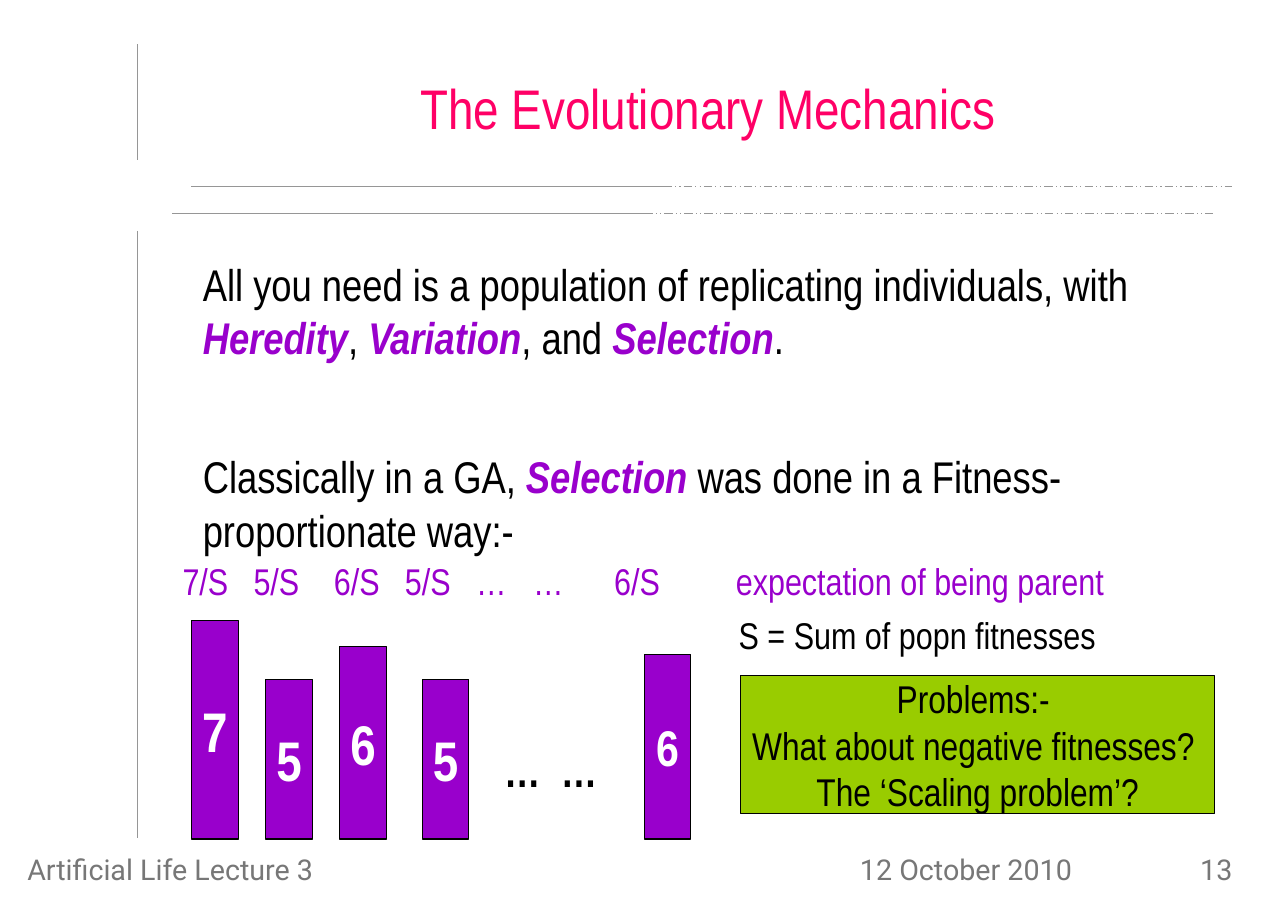
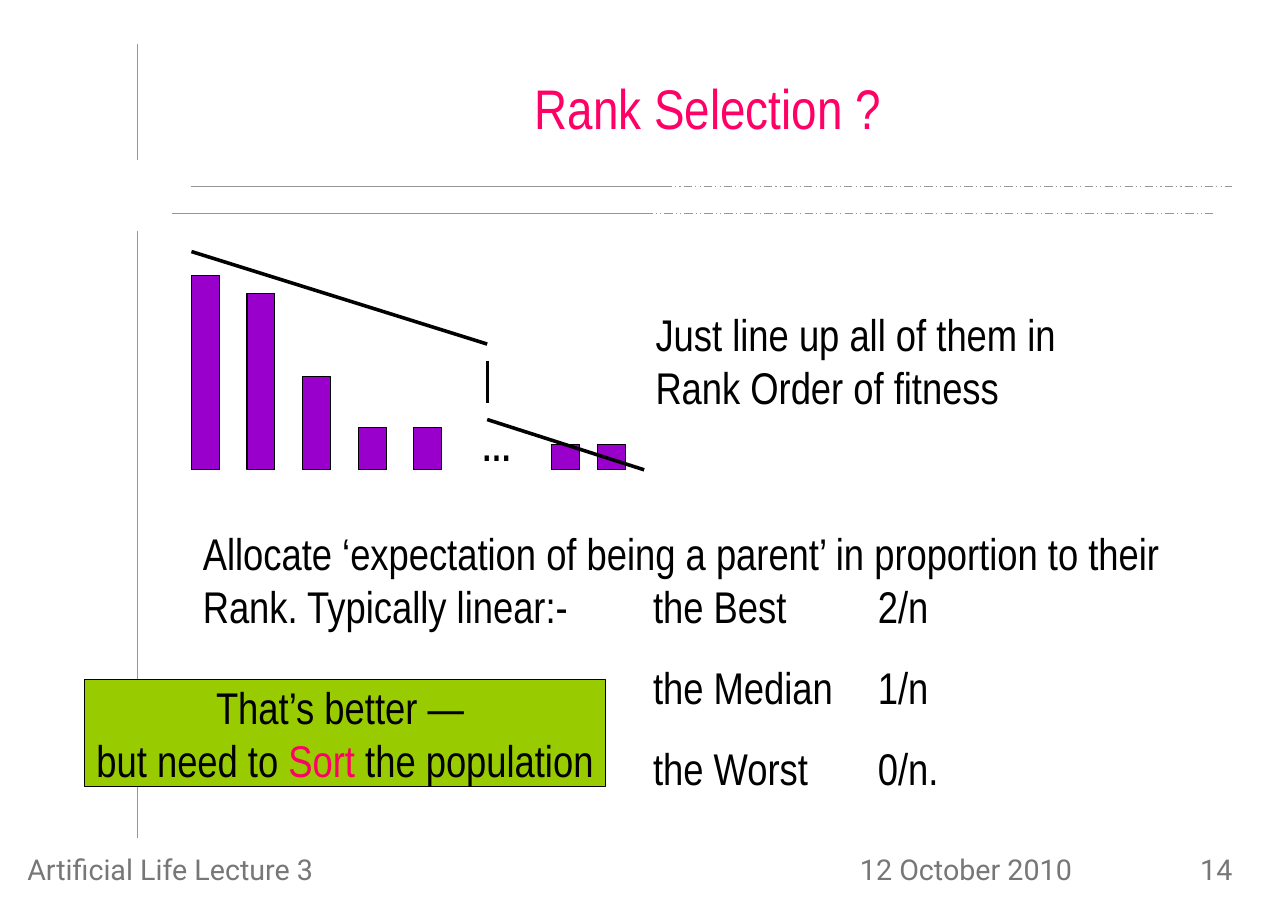
from dataclasses import dataclass

from lxml import etree
from pptx import Presentation
from pptx.dml.color import RGBColor
from pptx.enum.dml import MSO_LINE
from pptx.enum.shapes import MSO_CONNECTOR, MSO_SHAPE
from pptx.enum.text import MSO_ANCHOR, PP_ALIGN
from pptx.oxml.ns import qn
from pptx.presentation import Presentation as Deck
from pptx.shapes.base import BaseShape
from pptx.slide import Slide
from pptx.util import Cm, Pt

LEFT, CENTER, RIGHT = PP_ALIGN.LEFT, PP_ALIGN.CENTER, PP_ALIGN.RIGHT
TOP, MIDDLE = MSO_ANCHOR.TOP, MSO_ANCHOR.MIDDLE
STRAIGHT = MSO_CONNECTOR.STRAIGHT
RECTANGLE = MSO_SHAPE.RECTANGLE
DASHED = MSO_LINE.DASH_DOT_DOT

COLORS = {
    "title": "FF0066",
    "ink": "000000",
    "purple": "9900CC",
    "green": "99CC00",
    "white": "FFFFFF",
    "rule": "969696",
    "footer": "777777",
}
BODY_FONT, FOOTER_FONT = "Arial Narrow", "Roboto"
BODY_INSETS, FRAME_INSETS = (0.28, 0.13), (0.3, 0.15)
LEFT_EDGE = 4.72


@dataclass(frozen=True)
class Area:
    """Left, top, width and height in centimetres."""
    left: float
    top: float
    width: float
    height: float


@dataclass(frozen=True)
class Span:
    text: str
    color: str = "ink"
    bold: bool = False
    italic: bool = False


@dataclass(frozen=True)
class Style:
    size: float = 31
    font: str = BODY_FONT
    align: PP_ALIGN = LEFT
    anchor: MSO_ANCHOR = TOP
    insets: tuple[float, float] = BODY_INSETS
    wrap: bool = True
    gap: float = 0
    tabs: tuple[float, ...] = ()


@dataclass(frozen=True)
class Bar:
    left: float
    height: float
    label: str = ""
    size: float = 39


@dataclass(frozen=True)
class Line:
    """Two end points in centimetres."""
    x1: float
    y1: float
    x2: float
    y2: float
    color: str = "ink"
    weight: float = 2.5
    dashed: bool = False


Paragraphs = list[list[Span]]

TITLE_STYLE = Style(39, align=CENTER, anchor=MIDDLE, insets=FRAME_INSETS)
FOOTER_STYLES = {
    align: Style(20, FOOTER_FONT, align, insets=FRAME_INSETS)
    for align in (LEFT, CENTER, RIGHT)
}
FRAME_LINES = [
    Line(3.38, 1.09, 3.38, 3.94, "rule", 0.75),
    Line(3.38, 5.69, 3.38, 20.65, "rule", 0.75),
] + [
    Line(start, y, start + length, y, "rule", 0.75, dashed)
    for x, y in ((LEFT_EDGE, 4.6), (4.24, 5.26))
    for start, length, dashed in ((x, 11.64, False), (x + 11.64, 14.02, True))
]


def rgb(name: str) -> RGBColor:
    return RGBColor.from_string(COLORS[name])


def keyword(text: str) -> Span:
    return Span(text, "purple", bold=True, italic=True)


def write(shape: BaseShape, paragraphs: Paragraphs, style: Style) -> None:
    frame = shape.text_frame
    frame.word_wrap = style.wrap
    frame.vertical_anchor = style.anchor
    frame.margin_left = frame.margin_right = Cm(style.insets[0])
    frame.margin_top = frame.margin_bottom = Cm(style.insets[1])
    for index, spans in enumerate(paragraphs):
        para = frame.add_paragraph() if index else frame.paragraphs[0]
        if style.tabs:
            tab_list = etree.SubElement(para._p.get_or_add_pPr(), qn("a:tabLst"))
            for position in style.tabs:
                etree.SubElement(tab_list, qn("a:tab"),
                                 pos=str(Cm(position)), algn="l")
        para.alignment = style.align
        if index and style.gap:
            para.space_before = Pt(style.gap)
        for span in spans:
            run = para.add_run()
            run.text = span.text
            run.font.name = style.font
            run.font.size = Pt(style.size)
            run.font.bold = span.bold
            run.font.italic = span.italic
            run.font.color.rgb = rgb(span.color)


def add_text(page: Slide, area: Area, paragraphs: Paragraphs,
             style: Style = Style()) -> None:
    box = page.shapes.add_textbox(Cm(area.left), Cm(area.top),
                                  Cm(area.width), Cm(area.height))
    write(box, paragraphs, style)


def add_panel(page: Slide, area: Area, fill: str, paragraphs: Paragraphs,
              size: float) -> None:
    """Draw an outlined rectangle with centred text."""
    panel = page.shapes.add_shape(RECTANGLE, Cm(area.left), Cm(area.top),
                                  Cm(area.width), Cm(area.height))
    panel.shadow.inherit = False
    panel.fill.solid()
    panel.fill.fore_color.rgb = rgb(fill)
    panel.line.color.rgb = rgb("ink")
    panel.line.width = Pt(0.75)
    write(panel, paragraphs,
          Style(size, align=CENTER, anchor=MIDDLE, wrap=False))


def add_bars(page: Slide, bars: list[Bar], width: float, base: float) -> None:
    """Stand the bars on a common base line."""
    for bar in bars:
        area = Area(bar.left, base - bar.height, width, bar.height)
        label = [[Span(bar.label, "white", bold=True)]] if bar.label else []
        add_panel(page, area, "purple", label, bar.size)


def add_lines(page: Slide, lines: list[Line]) -> None:
    for line in lines:
        connector = page.shapes.add_connector(
            STRAIGHT, Cm(line.x1), Cm(line.y1), Cm(line.x2), Cm(line.y2))
        connector.line.color.rgb = rgb(line.color)
        connector.line.width = Pt(line.weight)
        if line.dashed:
            connector.line.dash_style = DASHED
        etree.SubElement(connector._element.spPr, qn("a:effectLst"))


def add_page(deck: Deck, title: str, number: int) -> Slide:
    """Add a blank page with the shared rules, footers and title."""
    page = deck.slides.add_slide(deck.slide_layouts[6])
    add_lines(page, FRAME_LINES)
    for text, left, width, align in (
        ("12 October 2010", 20.9, 6.6, LEFT),
        ("Artificial Life Lecture 3", 0, 8.4, CENTER),
        (str(number), 28.04, 2.64, RIGHT),
    ):
        add_text(page, Area(left, 20.85, width, 1.25),
                 [[Span(text, "footer")]], FOOTER_STYLES[align])
    add_text(page, Area(5.05, 1.52, 24.8, 2.24),
             [[Span(title, "title")]], TITLE_STYLE)
    return page


def build_mechanics(deck: Deck) -> None:
    page = add_page(deck, "The Evolutionary Mechanics", 13)
    add_text(page, Area(LEFT_EDGE, 6.2, 25.1, 2.9), [[
        Span("All you need is a population of replicating individuals, with "),
        keyword("Heredity"), Span(", "), keyword("Variation"),
        Span(", and "), keyword("Selection"), Span("."),
    ]])
    add_text(page, Area(LEFT_EDGE, 10.95, 25.1, 2.9), [[
        Span("Classically in a GA, "), keyword("Selection"),
        Span(" was done in a Fitness-proportionate way:-"),
    ]])
    add_bars(page, [
        Bar(LEFT_EDGE, 5.38, "7"),
        Bar(6.55, 3.94, "5"),
        Bar(8.38, 4.75, "6"),
        Bar(10.41, 3.94, "5"),
        Bar(15.88, 4.55, "6", 35),
    ], 1.15, 20.68)
    add_text(page, Area(12.15, 18.19, 3.4, 1.6),
             [[Span("…\t…", bold=True)]], Style(tabs=(1.4,)))
    add_text(page, Area(17.93, 14.96, 10.24, 1.37),
             [[Span("S = Sum of popn fitnesses")]], Style(26))
    expectations = ["7/S", "5/S", "6/S", "5/S", "…", "…", "6/S",
                    "expectation of being parent"]
    add_text(page, Area(4.22, 13.64, 24.8, 1.37),
             [[Span("\t".join(expectations), "purple")]],
             Style(26, tabs=(1.75, 3.73, 5.48, 7.24, 8.64, 10.64, 13.64)))
    add_panel(page, Area(18.26, 16.66, 11.68, 3.4), "green", [
        [Span("Problems:- ")],
        [Span("What about negative fitnesses? ")],
        [Span("The ‘Scaling problem’?")],
    ], 27)


def build_rank_selection(deck: Deck) -> None:
    page = add_page(deck, "Rank Selection ?", 14)
    ranked = [Bar(LEFT_EDGE + 1.37 * rank, height)
              for rank, height in enumerate((4.78, 4.34, 2.29, 1.04, 1.04))]
    last = [Bar(left, 0.62) for left in (13.59, 14.73)]
    add_bars(page, ranked + last, 0.69, 11.58)
    add_text(page, Area(11.56, 10.34, 1.37, 1.37),
             [[Span("…", bold=True)]], Style(26, align=CENTER))
    add_lines(page, [
        Line(LEFT_EDGE, 6.2, 12.01, 8.48),
        Line(12.01, 8.89, 12.01, 9.93, weight=2.25),
        Line(12.01, 10.34, 15.88, 11.58),
    ])
    add_text(page, Area(15.88, 7.44, 12.27, 2.9), [
        [Span("Just line up all of them in Rank Order of fitness")],
    ])
    add_text(page, Area(LEFT_EDGE, 12.83, 25.1, 6.9), [
        [Span("Allocate ‘expectation of being a parent’ in proportion to "
              "their Rank. Typically linear:-\tthe Best\t2/n")],
        [Span("\tthe Median\t1/n")],
        [Span("\tthe Worst\t0/n.")],
    ], Style(gap=19.4, tabs=(11.1, 16.64)))
    add_panel(page, Area(2.08, 16.76, 12.85, 2.62), "green", [
        [Span("That’s better ― ")],
        [Span("but need to "), Span("Sort", "title"), Span(" the population")],
    ], 31)


def main() -> None:
    deck = Presentation()
    deck.slide_width, deck.slide_height = Cm(31.75), Cm(22.33)
    build_mechanics(deck)
    build_rank_selection(deck)
    deck.save("out.pptx")


if __name__ == "__main__":
    main()
